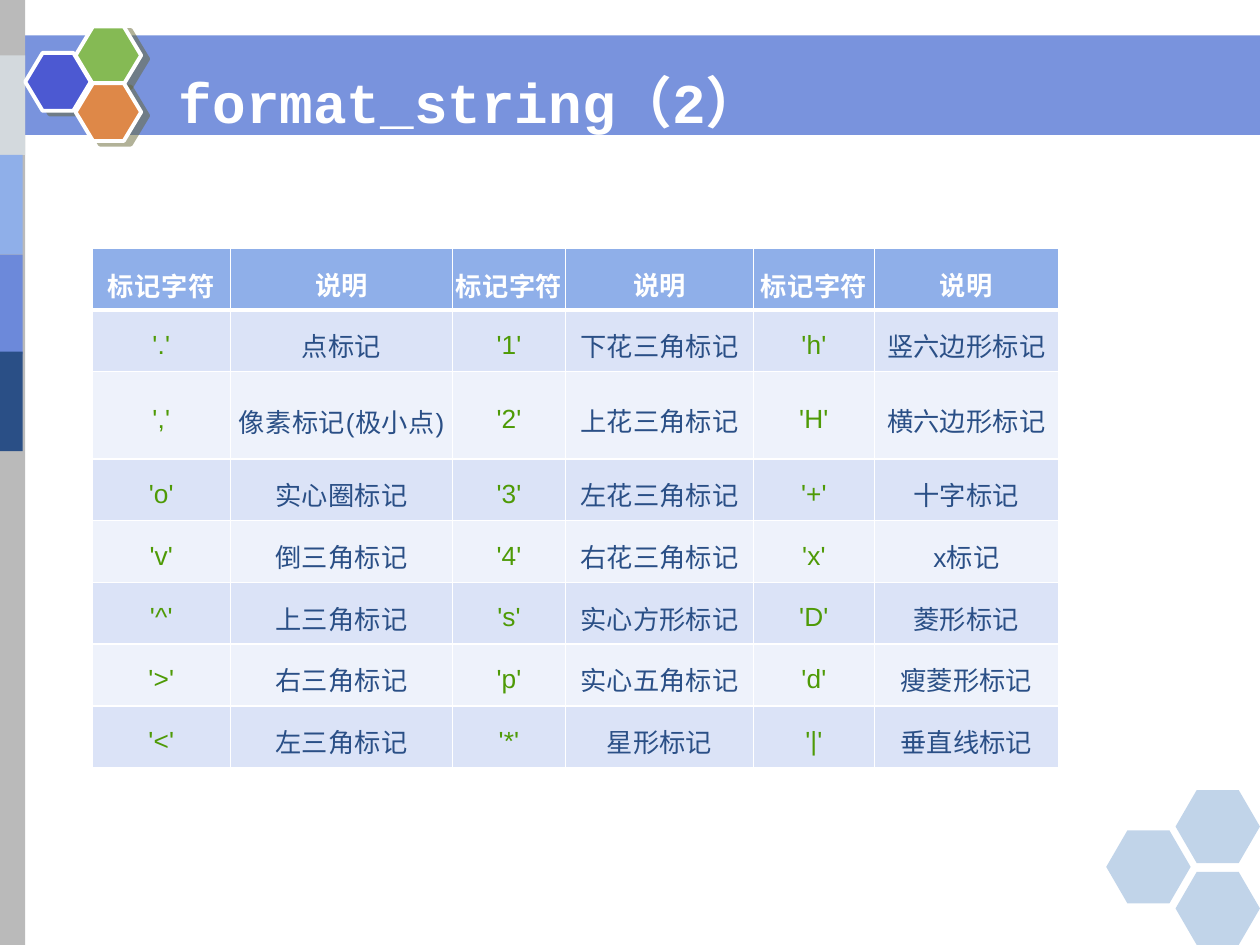
from lxml import etree
from pptx import Presentation
from pptx.dml.color import RGBColor
from pptx.enum.shapes import MSO_SHAPE
from pptx.enum.text import MSO_ANCHOR, MSO_AUTO_SIZE, PP_ALIGN
from pptx.oxml.ns import qn
from pptx.util import Inches, Pt

RECTANGLE, HEXAGON = MSO_SHAPE.RECTANGLE, MSO_SHAPE.HEXAGON
MIDDLE = MSO_ANCHOR.MIDDLE
CENTER, JUSTIFY = PP_ALIGN.CENTER, PP_ALIGN.JUSTIFY

TITLE = "format_string（2）"
HEADER = ["标记字符", "说明"] * 3
MARKERS = [
    ["'.'", "点标记", "'1'", "下花三角标记", "'h'", "竖六边形标记"],
    ["','", "像素标记(极小点)", "'2'", "上花三角标记", "'H'", "横六边形标记"],
    ["'o'", "实心圈标记", "'3'", "左花三角标记", "'+'", "十字标记"],
    ["'v'", "倒三角标记", "'4'", "右花三角标记", "'x'", "x标记"],
    ["'^'", "上三角标记", "'s'", "实心方形标记", "'D'", "菱形标记"],
    ["'>'", "右三角标记", "'p'", "实心五角标记", "'d'", "瘦菱形标记"],
    ["'<'", "左三角标记", "'*'", "星形标记", "'|'", "垂直线标记"],
]
COLUMN_WIDTHS = [1.1, 1.76, 0.9, 1.49, 0.96, 1.46]
ROW_HEIGHT = 0.49
WIDE_SPACED = ("标记字符", "像素标记(极小点)")

WHITE, NAVY, GREEN = "FFFFFF", "2A4F86", "4E9A06"
HEADER_FILL, ROW_FILLS = "8FAFE9", ("DBE3F7", "EEF2FB")

BANDS = [
    (0, 0.28, 10, 0.79, "6C89DA", 91),
    (0, 0, 0.2, 7.5, "BABABA", 100),
    (0, 0.44, 0.2, 0.79, "D3D9DD", 100),
    (0, 1.23, 0.18, 0.79, "8FAFE9", 100),
    (0, 2.02, 0.18, 0.79, "6C89DA", 100),
    (0, 2.79, 0.18, 0.79, NAVY, 100),
]
EMBLEM = [(0.2, 0.42, "4C59D2"), (0.6, 0.21, "85BA54"), (0.6, 0.66, "DE8848")]
CORNER_CELLS = [(8.78, 6.59), (9.33, 6.27), (9.33, 6.92)]


def rgb(color):
    return RGBColor.from_string(color)


def add_alpha(color_element, percent):
    etree.SubElement(color_element, qn("a:alpha"), val=str(percent * 1000))


def add_block(slide, preset, left, top, width, height, color, opacity=100):
    block = slide.shapes.add_shape(
        preset, Inches(left), Inches(top), Inches(width), Inches(height))
    block.shadow.inherit = False
    block.fill.solid()
    block.fill.fore_color.rgb = rgb(color)
    block.line.fill.background()
    if opacity < 100:
        add_alpha(block.element.spPr.find(".//" + qn("a:srgbClr")), opacity)
    return block


def add_emblem_cell(slide, left, top, color):
    hexagon = add_block(slide, HEXAGON, left, top, 0.52, 0.46, color)
    hexagon.adjustments[0] = 0.3
    hexagon.line.color.rgb = rgb(WHITE)
    hexagon.line.width = Pt(2.25)
    effects = hexagon.element.spPr.find(qn("a:effectLst"))
    shadow = etree.SubElement(
        effects, qn("a:outerShdw"), blurRad="0", dist=str(Pt(4.5)),
        dir=str(27 * 60000), algn="ctr", rotWithShape="0")
    add_alpha(etree.SubElement(shadow, qn("a:srgbClr"), val="666633"), 50)


def set_borders(cell, bottom_width):
    properties = cell._tc.get_or_add_tcPr()
    for index, side in enumerate("LRTB"):
        width = bottom_width if side == "B" else 1
        border = etree.Element(qn("a:ln" + side), w=str(Pt(width)))
        fill = etree.SubElement(border, qn("a:solidFill"))
        etree.SubElement(fill, qn("a:srgbClr"), val=WHITE)
        properties.insert(index, border)


def fill_cell(cell, text, color, fill, top_inset, bold=False, bottom_width=1):
    cell.fill.solid()
    cell.fill.fore_color.rgb = rgb(fill)
    set_borders(cell, bottom_width)
    cell.vertical_anchor = MIDDLE
    cell.margin_left = cell.margin_right = cell.margin_bottom = 0
    cell.margin_top = Inches(top_inset)
    paragraph = cell.text_frame.paragraphs[0]
    paragraph.text = text
    paragraph.alignment = CENTER
    run = paragraph.runs[0]
    run.font.size, run.font.name, run.font.bold = Pt(15), "Arial", bold
    run.font.color.rgb = rgb(color)
    run.font._element.set("spc", "30" if text in WIDE_SPACED else "10")


def add_marker_table(slide):
    rows = [HEADER] + MARKERS
    table = slide.shapes.add_table(
        len(rows), len(HEADER), Inches(0.73), Inches(1.97),
        Inches(sum(COLUMN_WIDTHS)), Inches(ROW_HEIGHT * len(rows))).table
    for column, width in zip(table.columns, COLUMN_WIDTHS):
        column.width = Inches(width)
    for row in table.rows:
        row.height = Inches(ROW_HEIGHT)
    for c, heading in enumerate(HEADER):
        fill_cell(table.cell(0, c), heading, WHITE, HEADER_FILL,
                  0.08 if c % 2 else 0.09, bold=True, bottom_width=3)
    for r, markers in enumerate(MARKERS):
        for c, text in enumerate(markers):
            fill_cell(table.cell(r + 1, c), text, NAVY if c % 2 else GREEN,
                      ROW_FILLS[r % 2], 0.09 if text in WIDE_SPACED else 0.07)


def format_title(title):
    title.left, title.top = Inches(1.31), Inches(0.45)
    title.width, title.height = Inches(8.06), Inches(0.7)
    frame = title.text_frame
    frame.text = TITLE
    frame.word_wrap = True
    frame.auto_size = MSO_AUTO_SIZE.NONE
    frame.vertical_anchor = MIDDLE
    frame.margin_left = frame.margin_right = Inches(0.11)
    frame.margin_top = frame.margin_bottom = Inches(0.06)
    paragraph = frame.paragraphs[0]
    paragraph.alignment = JUSTIFY
    font = paragraph.runs[0].font
    font.size, font.name, font.bold = Pt(32), "Courier New", True
    font.color.rgb = rgb(WHITE)


def main():
    """Build the slide listing plot marker characters."""
    deck = Presentation()
    deck.slide_width, deck.slide_height = Inches(10), Inches(7.5)
    slide = deck.slides.add_slide(deck.slide_layouts[5])
    for left, top, width, height, color, opacity in BANDS:
        add_block(slide, RECTANGLE, left, top, width, height, color, opacity)
    for left, top, color in EMBLEM:
        add_emblem_cell(slide, left, top, color)
    for left, top in CORNER_CELLS:
        corner = add_block(slide, HEXAGON, left, top, 0.67, 0.58, "5086C2", 35)
        corner.adjustments[0] = 0.29
    title = slide.shapes.title
    format_title(title)
    title.element.getparent().append(title.element)
    add_marker_table(slide)
    deck.save("out.pptx")


if __name__ == "__main__":
    main()
